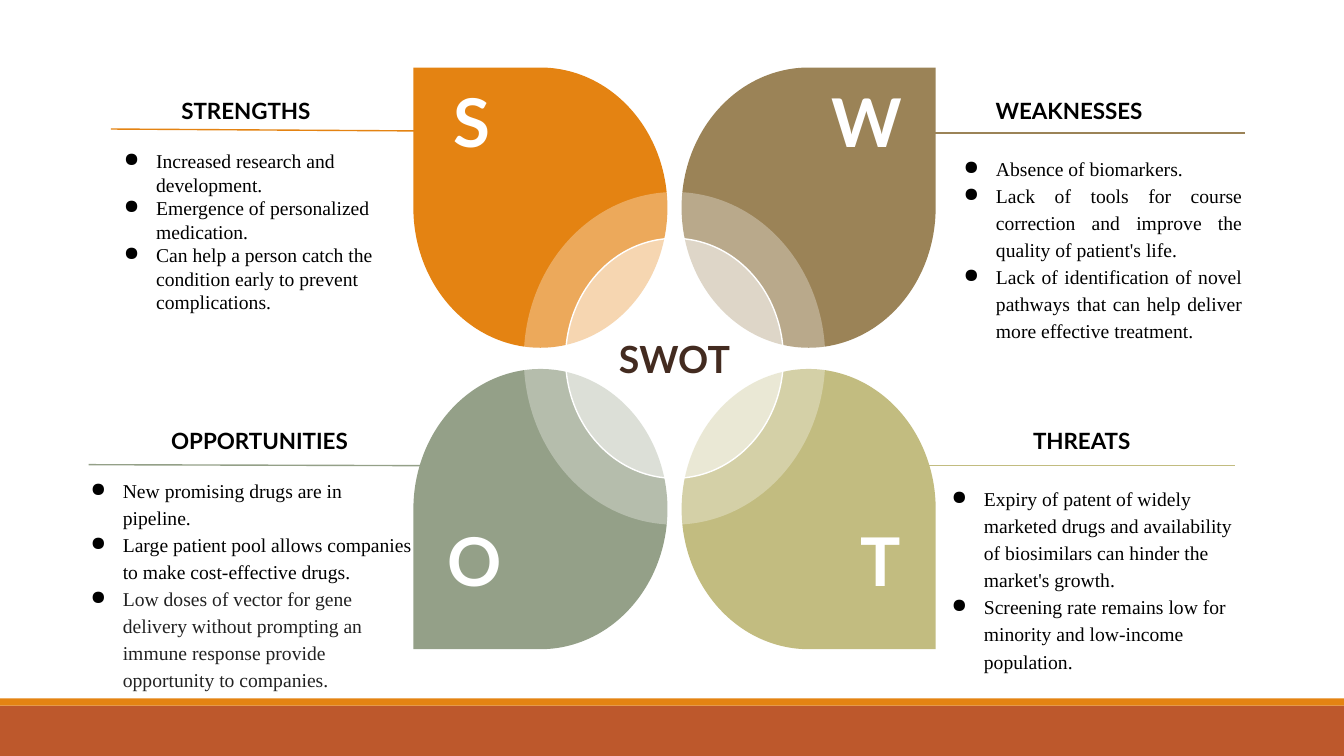
from lxml import etree
from pptx import Presentation
from pptx.dml.color import RGBColor
from pptx.enum.shapes import MSO_CONNECTOR, MSO_SHAPE
from pptx.enum.text import MSO_ANCHOR, PP_ALIGN
from pptx.oxml.ns import qn
from pptx.util import Inches, Pt

LEFT, CENTER, RIGHT, JUSTIFY = PP_ALIGN.LEFT, PP_ALIGN.CENTER, PP_ALIGN.RIGHT, PP_ALIGN.JUSTIFY
TOP, MIDDLE = MSO_ANCHOR.TOP, MSO_ANCHOR.MIDDLE
RECTANGLE, OVAL, TEAR = MSO_SHAPE.RECTANGLE, MSO_SHAPE.OVAL, MSO_SHAPE.TEAR
STRAIGHT = MSO_CONNECTOR.STRAIGHT

THEME = {
    "white": "FFFFFF", "band": "BD582C", "strip": "E48312",
    "letter": {"name": "Lato", "size": 48, "bold": True, "color": "FFFFFF"},
    "heading": {"name": "Lato", "size": 16, "bold": True, "color": "000000"},
    "body": {"name": "Times New Roman", "size": 14, "bold": False, "color": "000000"},
    "soft_body": {"name": "Times New Roman", "size": 14, "bold": False, "color": "222222"},
    "center": {"name": "Lato", "size": 26.7, "bold": True, "color": "432B20"},
}
SLIDE_WIDTH, SLIDE_HEIGHT = 13.33, 7.5
COLUMNS, ROWS = (4.1, 6.76), (0.67, 3.66)
PETAL_WIDTH, PETAL_HEIGHT = 2.52, 2.78
CENTER_X = (COLUMNS[0] + COLUMNS[1] + PETAL_WIDTH) / 2
CENTER_Y = (ROWS[0] + ROWS[1] + PETAL_HEIGHT) / 2
LETTER_TOPS, HEADING_TOPS = (0.74, 5.1), (0.91, 4.19)
LETTER_HEIGHT, HEADING_HEIGHT = 0.91, 0.37

# Boxes give left and width, or left, top, width and height; rules give both ends.
QUADRANTS = [
    {"column": 1, "row": 0, "color": "9B8357", "letter": "W", "letter_box": (8.13, 0.93),
     "heading": "WEAKNESSES", "heading_box": (9.62, 1.81), "heading_align": RIGHT,
     "body_box": (9.28, 1.47, 3.14, 2.19), "align": JUSTIFY, "spacing": 1.15,
     "rule": (9.06, 1.32, 12.35, 1.32),
     "points": [("Absence of biomarkers.", "body"),
                ("Lack of tools for course correction and improve the quality of patient's life.", "body"),
                ("Lack of identification of novel pathways that can help deliver more effective treatment.",
                 "body")]},
    {"column": 0, "row": 0, "color": "E48312", "letter": "S", "letter_box": (4.36, 0.64),
     "heading": "STRENGTHS", "heading_box": (1.7, 1.66), "heading_align": LEFT,
     "body_box": (0.95, 1.43, 3.17, 1.75), "align": LEFT, "spacing": 1.0,
     "rule": (1.1, 1.28, 4.31, 1.3),
     "points": [("Increased research and development.", "body"),
                ("Emergence of personalized medication.", "body"),
                ("Can help a person catch the condition early to prevent complications.", "body")]},
    {"column": 1, "row": 1, "color": "C2BC80", "letter": "T", "letter_box": (8.37, 0.72),
     "heading": "THREATS", "heading_box": (9.99, 1.32), "heading_align": RIGHT,
     "body_box": (9.16, 4.75, 3.29, 2.19), "align": LEFT, "spacing": 1.15,
     "rule": (9.21, 4.62, 12.25, 4.62),
     "points": [("Expiry of patent of widely marketed drugs and availability of biosimilars "
                 "can hinder the market's growth.", "body"),
                ("Screening rate remains low for minority and low-income population.", "body")]},
    {"column": 0, "row": 1, "color": "94A088", "letter": "O", "letter_box": (4.31, 0.79),
     "heading": "OPPORTUNITIES", "heading_box": (1.6, 2.16), "heading_align": LEFT,
     "body_box": (0.62, 4.67, 3.57, 2.83), "align": LEFT, "spacing": 1.15,
     "rule": (0.88, 4.61, 4.26, 4.62),
     "points": [("New promising drugs are in pipeline.", "body"),
                ("Large patient pool allows companies to make cost-effective drugs.", "body"),
                ("Low doses of vector for gene delivery without prompting an immune response "
                 "provide opportunity to companies.", "soft_body")]},
]

presentation = Presentation()
presentation.slide_width, presentation.slide_height = Inches(SLIDE_WIDTH), Inches(SLIDE_HEIGHT)
slide = presentation.slides.add_slide(presentation.slide_layouts[6])


def add_filled(kind, box, color, opacity=100):
    shape = slide.shapes.add_shape(kind, *map(Inches, box))
    shape.shadow.inherit = False
    shape.fill.solid()
    shape.fill.fore_color.rgb = RGBColor.from_string(color)
    shape.line.fill.background()
    if opacity < 100:
        fill_color = shape._element.spPr.find(qn("a:solidFill"))[0]
        etree.SubElement(fill_color, qn("a:alpha"), val=str(opacity * 1000))
    return shape


def write_text(shape, lines, align, anchor=TOP, spacing=None, bullets=False):
    """Fill a shape with (text, style name) lines, one paragraph each."""
    frame = shape.text_frame
    frame.word_wrap, frame.vertical_anchor = True, anchor
    for index, (text, style_name) in enumerate(lines):
        paragraph = frame.add_paragraph() if index else frame.paragraphs[0]
        paragraph.alignment, paragraph.line_spacing = align, spacing
        run = paragraph.add_run()
        run.text = text
        style = THEME[style_name]
        formats = {"name": style["name"], "size": Pt(style["size"]), "bold": style["bold"]}
        for attribute, value in formats.items():
            setattr(run.font, attribute, value)
        run.font.color.rgb = RGBColor.from_string(style["color"])
        if bullets:
            properties = paragraph._p.get_or_add_pPr()
            properties.set("marL", str(Inches(0.5)))
            properties.set("indent", str(Inches(-0.32)))
            bullet_color = etree.SubElement(properties, qn("a:buClr"))
            etree.SubElement(bullet_color, qn("a:srgbClr"), val=THEME["body"]["color"])
            etree.SubElement(properties, qn("a:buChar"), char="●")


add_filled(RECTANGLE, (0, 7, SLIDE_WIDTH, 0.5), THEME["band"])
add_filled(RECTANGLE, (0, 6.93, SLIDE_WIDTH, 0.07), THEME["strip"])

for quadrant in QUADRANTS:
    column, row = quadrant["column"], quadrant["row"]
    petal = add_filled(TEAR, (COLUMNS[column], ROWS[row], PETAL_WIDTH, PETAL_HEIGHT), quadrant["color"])
    petal.rotation = 180 * row
    if column == row:
        petal._element.spPr.find(qn("a:xfrm")).set("flipH", "1")

for quadrant in QUADRANTS:
    left, width = quadrant["letter_box"]
    box = (left, LETTER_TOPS[quadrant["row"]], width, LETTER_HEIGHT)
    letter = slide.shapes.add_textbox(*map(Inches, box))
    write_text(letter, [(quadrant["letter"], "letter")], CENTER, MIDDLE)

ring_width, ring_height = 2.99, 3.3
add_filled(OVAL, (CENTER_X - ring_width / 2, CENTER_Y - ring_height / 2, ring_width, ring_height),
           THEME["white"], 31)

for quadrant in QUADRANTS:
    left, width = quadrant["heading_box"]
    box = (left, HEADING_TOPS[quadrant["row"]], width, HEADING_HEIGHT)
    heading = slide.shapes.add_textbox(*map(Inches, box))
    write_text(heading, [(quadrant["heading"], "heading")], quadrant["heading_align"])
    body = slide.shapes.add_textbox(*map(Inches, quadrant["body_box"]))
    write_text(body, quadrant["points"], quadrant["align"], spacing=quadrant["spacing"], bullets=True)

hub_width, hub_height = 2.16, 2.38
hub = add_filled(OVAL, (CENTER_X - hub_width / 2, CENTER_Y - hub_height / 2, hub_width, hub_height),
                 THEME["white"], 53)
hub.line.color.rgb = RGBColor.from_string(THEME["white"])
hub.line.width = Pt(1)
write_text(hub, [("SWOT", "center")], CENTER, MIDDLE)

for quadrant in QUADRANTS:
    rule = slide.shapes.add_connector(STRAIGHT, *map(Inches, quadrant["rule"]))
    rule.line.color.rgb = RGBColor.from_string(quadrant["color"])
    rule.line.width = Pt(1)
    etree.SubElement(rule._element.spPr, qn("a:effectLst"))

presentation.save("out.pptx")
